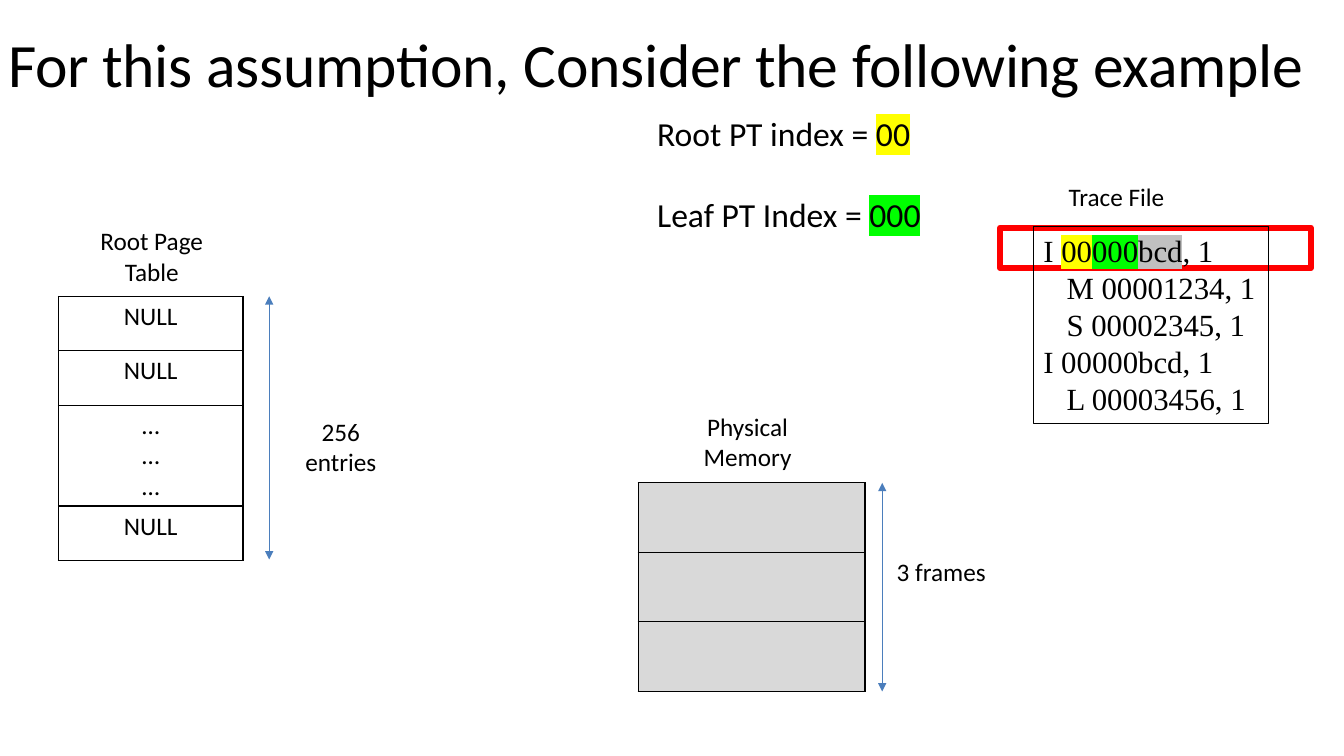
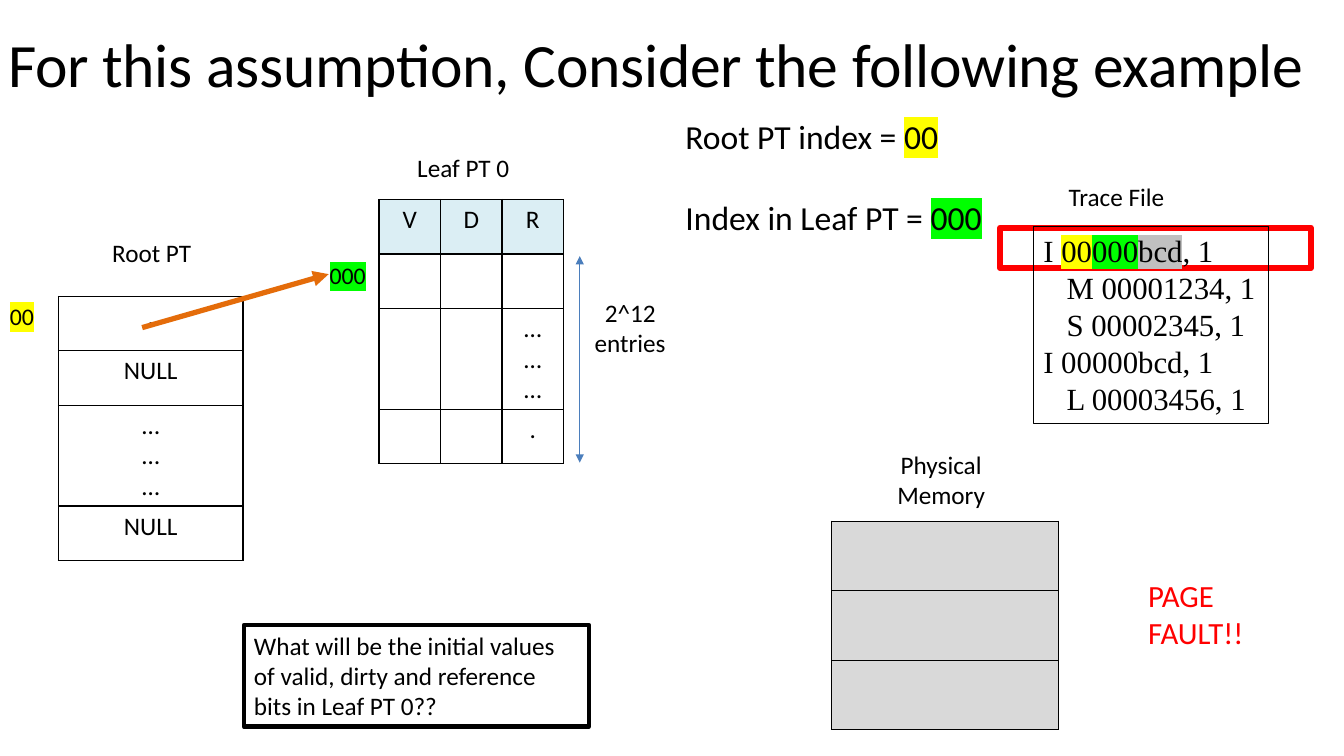
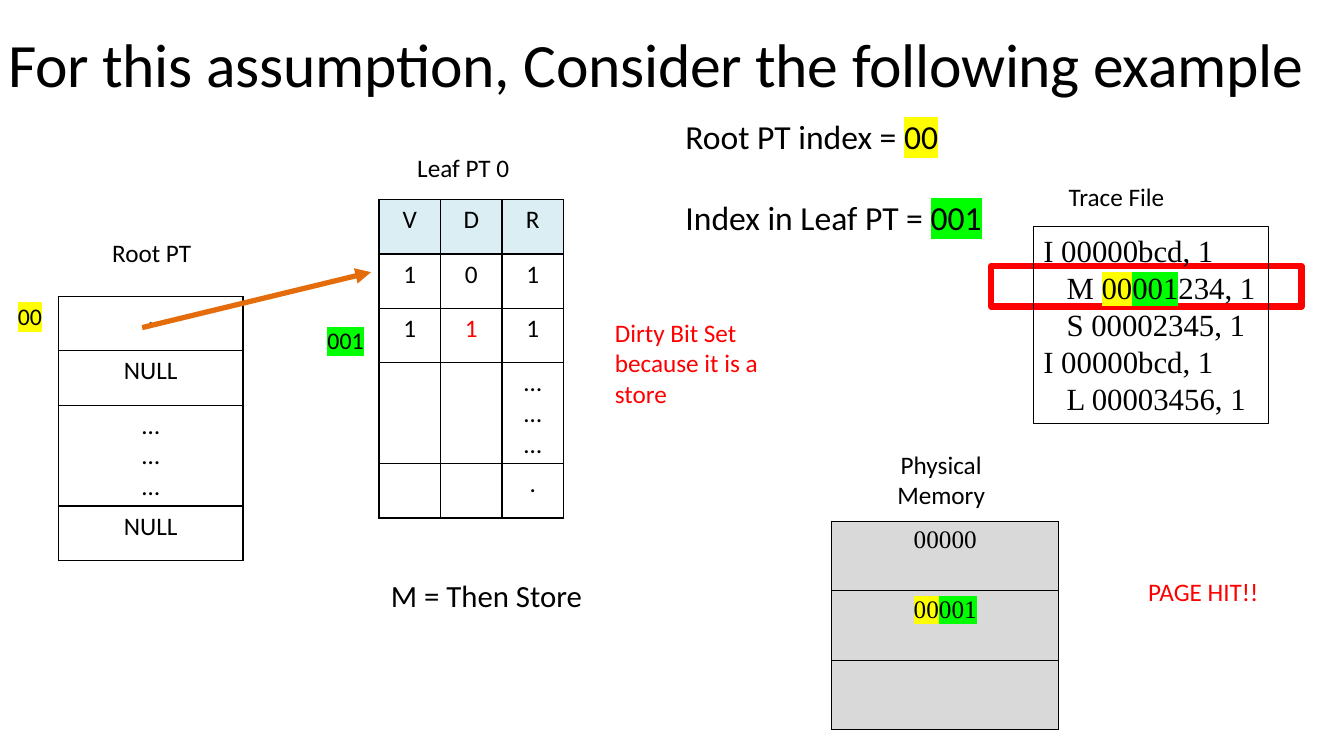
from dataclasses import dataclass

from lxml.etree import SubElement
from pptx import Presentation
from pptx.dml.color import RGBColor as RGB
from pptx.enum.shapes import MSO_CONNECTOR as Connector
from pptx.enum.shapes import MSO_SHAPE as Shape
from pptx.enum.text import MSO_ANCHOR as Anchor
from pptx.enum.text import PP_ALIGN as Align
from pptx.oxml import parse_xml
from pptx.oxml.ns import nsdecls, qn
from pptx.util import Pt

PX = 9144  # 100 px to the inch


@dataclass(frozen=True)
class Theme:
    sans: str = "Calibri"
    serif: str = "Times New Roman"
    black: str = "000000"
    red: str = "FF0000"
    blue: str = "4B7EBC"
    orange: str = "E46C0A"
    yellow: str = "FFFF00"
    green: str = "00FF00"
    silver: str = "C0C0C0"
    frame_fill: str = "D9D9D9"
    header_fill: str = "DBEEF4"
    title: int = 44
    index: int = 24
    trace: int = 22
    body: int = 18
    tag: int = 17


T = Theme()
LEFT, CENTER = Align.LEFT, Align.CENTER


def write(frame, paragraphs, size=T.body, color=T.black, align=LEFT, font=T.sans):
    """Each paragraph is a string or a list of (text, highlight) spans."""
    frame.word_wrap = True
    for i, spans in enumerate(paragraphs):
        paragraph = frame.paragraphs[0] if i == 0 else frame.add_paragraph()
        paragraph.alignment = align
        paragraph.font.size = Pt(size)
        paragraph.font.name = font
        paragraph.font.color.rgb = RGB.from_string(color)
        for text, mark in [(spans, None)] if isinstance(spans, str) else spans:
            run = paragraph.add_run()
            run.text = text
            if mark:
                highlight = SubElement(run._r.get_or_add_rPr(), qn("a:highlight"))
                SubElement(highlight, qn("a:srgbClr"), val=mark)


def add_grid(slide, x, y, width, heights, rows, fills, font=T.sans):
    """Add a bordered table; fills holds one colour or None for each row."""
    columns = len(rows[0])
    table = slide.shapes.add_table(len(rows), columns, x * PX, y * PX,
                                   columns * width * PX, sum(heights) * PX).table
    table.first_row = table.horz_banding = False
    for column in table.columns:
        column.width = width * PX
    for row, height, values, fill in zip(table.rows, heights, rows, fills):
        row.height = height * PX
        for cell, paragraphs in zip(row.cells, values):
            write(cell.text_frame, paragraphs, align=CENTER, font=font)
            if fill:
                cell.fill.solid()
                cell.fill.fore_color.rgb = RGB.from_string(fill)
            else:
                cell.fill.background()
            for i, side in enumerate(("lnL", "lnR", "lnT", "lnB")):
                cell._tc.get_or_add_tcPr().insert(i, parse_xml(
                    f'<a:{side} {nsdecls("a")} w="12700"><a:solidFill>'
                    f'<a:srgbClr val="{T.black}"/></a:solidFill></a:{side}>'))
    return table


# Content shared by the slides
TITLE = "For this assumption, Consider the following example"
TRACE = ["I 00000bcd, 1", "M 00001234, 1", "S 00002345, 1", "I 00000bcd, 1", "L 00003456, 1"]
TRACE_FETCH = [[("I ", None), ("00", T.yellow), ("000", T.green),
                ("bcd", T.silver), (", 1", None)]] + TRACE[1:]
TRACE_MODIFY = [TRACE[0], [("M ", None), ("00", T.yellow), ("001", T.green),
                           ("234, 1", None)]] + TRACE[2:]
ROW, DOTS_ROW, FRAME_ROW = 54, 99, 69
NULL, DOTS, EMPTY = ["NULL"], ["…"] * 3, []
LEAF_HEADER = [["V"], ["D"], ["R"]]
LEAF_TAIL = [[EMPTY, EMPTY, DOTS], [EMPTY, EMPTY, ["."]]]
LEAF_LABELS = [((67, 231, 167, 40), ["Root PT"], T.body, T.black, CENTER),
               ((376, 146, 167, 40), ["Leaf PT 0"], T.body, T.black, CENTER)]

# What differs: labels are (box, paragraphs, size, colour, alignment),
# lines are (x1, y1, x2, y2, colour, points, two-headed)
SLIDES = [
    dict(
        current=(992, 226), trace=TRACE_FETCH, root=NULL, leaf=None,
        memory=(633, 479), frames=[EMPTY] * 3,
        index=(642, 107), leaf_index=("Leaf PT Index = ", "000"), note=None,
        lines=[(267, 294, 267, 555, T.blue, 0.75, True),
               (875, 479, 875, 686, T.blue, 0.75, True)],
        labels=[((292, 408, 92, 71), ["256 entries"], T.body, T.black, CENTER),
                ((67, 219, 167, 71), ["Root Page Table"], T.body, T.black, CENTER),
                ((875, 547, 117, 40), ["3 frames"], T.body, T.black, CENTER)],
    ),
    dict(
        current=(992, 226), trace=TRACE_FETCH, root=["."],
        leaf=[LEAF_HEADER, [EMPTY] * 3] + LEAF_TAIL,
        memory=(825, 517), frames=[EMPTY] * 3,
        index=(670, 110), leaf_index=("Index in Leaf PT = ", "000"),
        note="What will be the initial values of valid, dirty and reference bits in Leaf PT 0??",
        lines=[(141, 325, 326, 272, T.orange, 3.75, False),
               (575, 254, 575, 459, T.blue, 0.75, True)],
        labels=LEAF_LABELS + [
            ((0, 294, 50, 39), [[("00", T.yellow)]], T.tag, T.black, LEFT),
            ((317, 254, 64, 39), [[("000", T.green)]], T.tag, T.black, LEFT),
            ((1129, 567, 163, 84), ["PAGE FAULT!!"], T.trace, T.red, LEFT),
            ((579, 290, 92, 71), ["2^12 entries"], T.body, T.black, CENTER)],
    ),
    dict(
        current=(983, 264), trace=TRACE_MODIFY, root=["."],
        leaf=[LEAF_HEADER, [["1"], ["0"], ["1"]], [["1"]] * 3] + LEAF_TAIL,
        memory=(825, 517),
        frames=[["00000"], [[("00", T.yellow), ("001", T.green)]], EMPTY],
        index=(670, 110), leaf_index=("Index in Leaf PT = ", "001"), note=None,
        lines=[(141, 325, 368, 270, T.orange, 3.75, False)],
        labels=LEAF_LABELS + [
            ((8, 294, 50, 39), [[("00", T.yellow)]], T.tag, T.black, LEFT),
            ((315, 318, 64, 39), [[("001", T.green)]], T.tag, T.black, LEFT),
            ((1129, 567, 163, 40), ["PAGE HIT!!"], T.body, T.red, LEFT),
            ((378, 567, 330, 47), ["M = Then Store"], T.trace, T.black, LEFT),
            ((600, 310, 163, 101), ["Dirty Bit Set", "because it is a store"],
             T.body, T.red, LEFT)],
    ),
]

deck = Presentation()
deck.slide_width, deck.slide_height = 1333 * PX, 750 * PX

for content in SLIDES:
    slide = deck.slides.add_slide(deck.slide_layouts[6])

    # Title
    title = slide.shapes.add_textbox(8 * PX, 25 * PX, 1317 * PX, 75 * PX).text_frame
    title.margin_left = title.margin_right = title.margin_bottom = 0
    title.margin_top = PX
    write(title, [TITLE], T.title)
    title.paragraphs[0].space_before = Pt(1)
    title.paragraphs[0].runs[0]._r.get_or_add_rPr().set("spc", "-20")

    # Marker of the current access, trace file, boxed question
    boxes = [((*content["current"], 308, 40), T.red, 4.5, [], T.body, T.sans),
             ((1025, 225, 233, 195), T.black, 0.75, content["trace"], T.trace, T.serif)]
    if content["note"]:
        boxes.append(((242, 620, 342, 101), T.black, 3.25, [content["note"]], T.body, T.sans))
    for box, color, points, paragraphs, size, font in boxes:
        outlined = slide.shapes.add_shape(Shape.RECTANGLE, *(n * PX for n in box))
        outlined.shadow.inherit = False
        outlined.fill.background()
        outlined.line.color.rgb = RGB.from_string(color)
        outlined.line.width = Pt(points)
        outlined.text_frame.vertical_anchor = Anchor.TOP
        write(outlined.text_frame, paragraphs, size, font=font)
        if paragraphs is content["trace"]:
            for access in outlined.text_frame.paragraphs:
                if not access.text.startswith("I"):  # data accesses are indented
                    access._p.get_or_add_pPr().set("marL", str(23 * PX))

    # Root page table, leaf page table, physical memory
    add_grid(slide, 58, 294, 183, [ROW, ROW, DOTS_ROW, ROW],
             [[content["root"]], [NULL], [DOTS], [NULL]], [None] * 4)
    if content["leaf"]:
        rows = content["leaf"]
        heights = [ROW] * (len(rows) - 2) + [DOTS_ROW, ROW]
        leaf = add_grid(slide, 376, 198, 61, heights, rows,
                        [T.header_fill] + [None] * (len(rows) - 1))
        for dirty_bit in leaf.cell(2, 1).text_frame.paragraphs[0].runs:
            dirty_bit.font.color.rgb = RGB.from_string(T.red)
    x, y = content["memory"]
    add_grid(slide, x, y, 225, [FRAME_ROW] * 3, [[page] for page in content["frames"]],
             [T.frame_fill] * 3, T.serif)

    # Labels
    shared_labels = [
        ((1050, 175, 158, 40), ["Trace File"], T.body, T.black, LEFT),
        ((x + 25, y - 76, 167, 71), ["Physical Memory"], T.body, T.black, CENTER)]
    for box, paragraphs, size, color, align in shared_labels + content["labels"]:
        label = slide.shapes.add_textbox(*(n * PX for n in box))
        write(label.text_frame, paragraphs, size, color, align)

    # Indexes taken from the address
    left, top = content["index"]
    prefix, leaf_digits = content["leaf_index"]
    indexes = slide.shapes.add_textbox(left * PX, top * PX, 433 * PX, 162 * PX).text_frame
    write(indexes, [[("Root PT index = ", None), ("00", T.yellow)],
                    [(prefix, None), (leaf_digits, T.green)]], T.index)
    indexes.paragraphs[1].space_before = Pt(29)

    # Arrows
    for x1, y1, x2, y2, color, points, two_headed in content["lines"]:
        arrow = slide.shapes.add_connector(Connector.STRAIGHT, x1 * PX, y1 * PX, x2 * PX, y2 * PX)
        arrow.line.color.rgb = RGB.from_string(color)
        arrow.line.width = Pt(points)
        properties = arrow._element.spPr
        outline = properties.find(qn("a:ln"))
        if two_headed:
            SubElement(outline, qn("a:headEnd"), type="triangle")
        SubElement(outline, qn("a:tailEnd"), type="triangle")
        SubElement(properties, qn("a:effectLst"))

deck.save("out.pptx")
